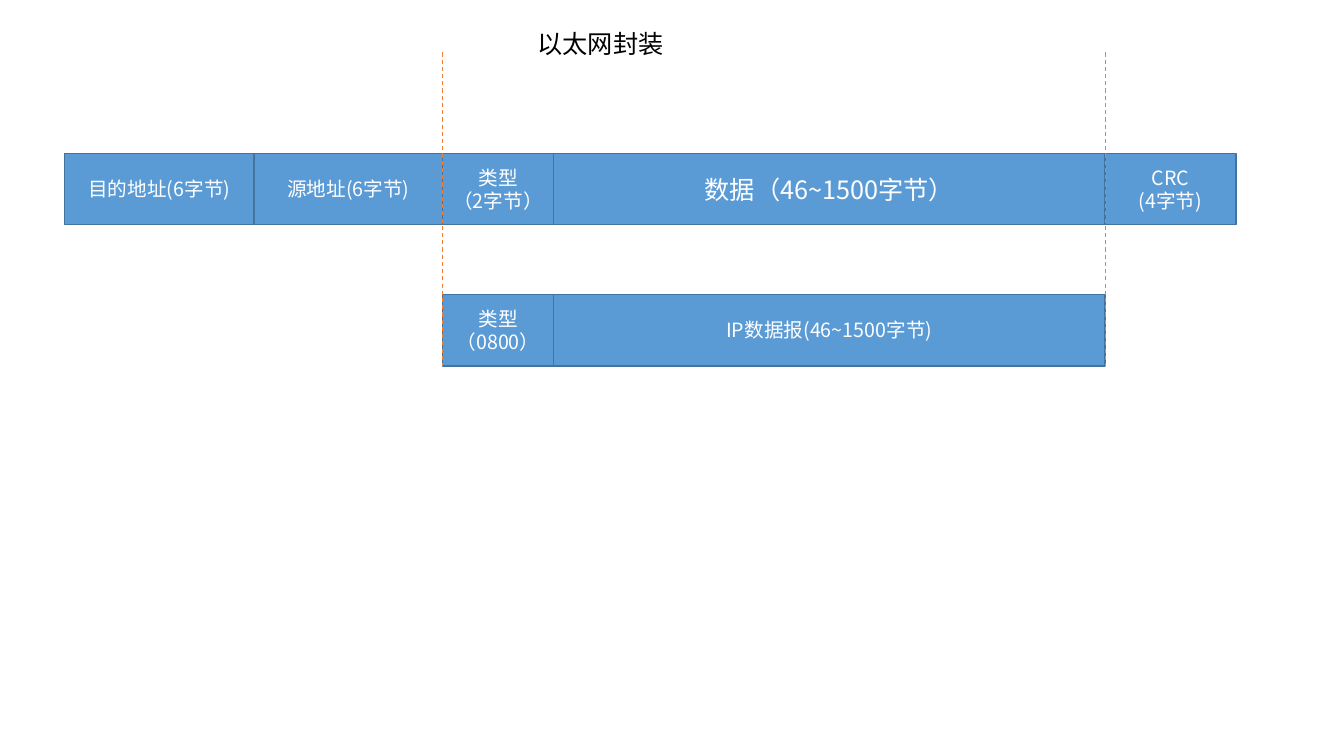
from pptx import Presentation
from pptx import util as u
from pptx.dml.color import RGBColor
from pptx.enum import dml, shapes, text
from pptx.oxml.ns import qn
from lxml import etree

FONT = "Noto Sans CJK SC"
EDGES = [0.64, 2.52, 4.39, 5.49, 10.96, 12.26]
ROW_H = 0.71
FRAME_TOP, PAYLOAD_TOP, GUIDE_TOP = 1.52, 2.92, 0.52
FRAME = [("目的地址(6字节)", 14), ("源地址(6字节)", 14), ("类型\n（2字节）", 14),
         ("数据（46~1500字节）", 18), ("CRC\n(4字节)", 14)]
PAYLOAD = [("类型\n（0800）", 14), ("IP数据报(46~1500字节)", 14)]


def color(hex_value):
    """Return the colour for a hex string."""
    return RGBColor.from_string(hex_value)


def write(tf, content, size, hex_value, align):
    """Fill a text frame and format all of its runs."""
    tf.word_wrap = True
    tf.text = content
    for p in tf.paragraphs:
        p.alignment = align
        for r in p.runs:
            r.font.size = u.Pt(size)
            r.font.name = FONT
            r.font.color.rgb = color(hex_value)
            ea = etree.SubElement(r.font._element, qn("a:ea"))
            ea.set("typeface", FONT)


def add_title(s, left, top, width, height):
    """Place the slide title in the given box."""
    sp = s.shapes.title
    sp.left, sp.top, sp.width, sp.height = map(u.Inches, (left, top, width, height))
    tf = sp.text_frame
    tf.auto_size = text.MSO_AUTO_SIZE.NONE
    tf.vertical_anchor = text.MSO_ANCHOR.TOP
    write(tf, "以太网封装", 18, "000000", text.PP_ALIGN.LEFT)


def add_fields(s, edges, top, height, fields):
    """Draw a row of packet fields between consecutive column edges."""
    for left, right, (label, size) in zip(edges, edges[1:], fields):
        box = map(u.Inches, (left, top, right - left, height))
        sp = s.shapes.add_shape(shapes.MSO_SHAPE.RECTANGLE, *box)
        sp.shadow.inherit = False
        sp.fill.solid()
        sp.fill.fore_color.rgb = color("5B9BD5")
        sp.line.color.rgb = color("43739E")
        sp.line.width = u.Pt(1)
        tf = sp.text_frame
        tf.vertical_anchor = text.MSO_ANCHOR.MIDDLE
        write(tf, label, size, "FFFFFF", text.PP_ALIGN.CENTER)


def add_guide(s, x, top, bottom):
    """Draw a dashed vertical guide at a column edge."""
    ends = map(u.Inches, (x, top, x, bottom))
    guide = s.shapes.add_connector(shapes.MSO_CONNECTOR.STRAIGHT, *ends)
    guide.line.color.rgb = color("ED7D31")
    guide.line.width = u.Pt(0.75)
    guide.line.dash_style = dml.MSO_LINE.DASH
    etree.SubElement(guide._element.spPr, qn("a:effectLst"))


def build_slide(prs):
    """Build the Ethernet encapsulation slide."""
    s = prs.slides.add_slide(prs.slide_layouts[5])
    add_title(s, 5.23, 0.23, 2.09, 0.4)
    add_fields(s, EDGES, FRAME_TOP, ROW_H, FRAME)
    add_fields(s, EDGES[2:5], PAYLOAD_TOP, ROW_H, PAYLOAD)
    for x in (EDGES[2], EDGES[4]):
        add_guide(s, x, GUIDE_TOP, PAYLOAD_TOP + ROW_H)


prs = Presentation()
prs.slide_width, prs.slide_height = u.Inches(13.33), u.Inches(7.5)
build_slide(prs)
prs.save("out.pptx")
